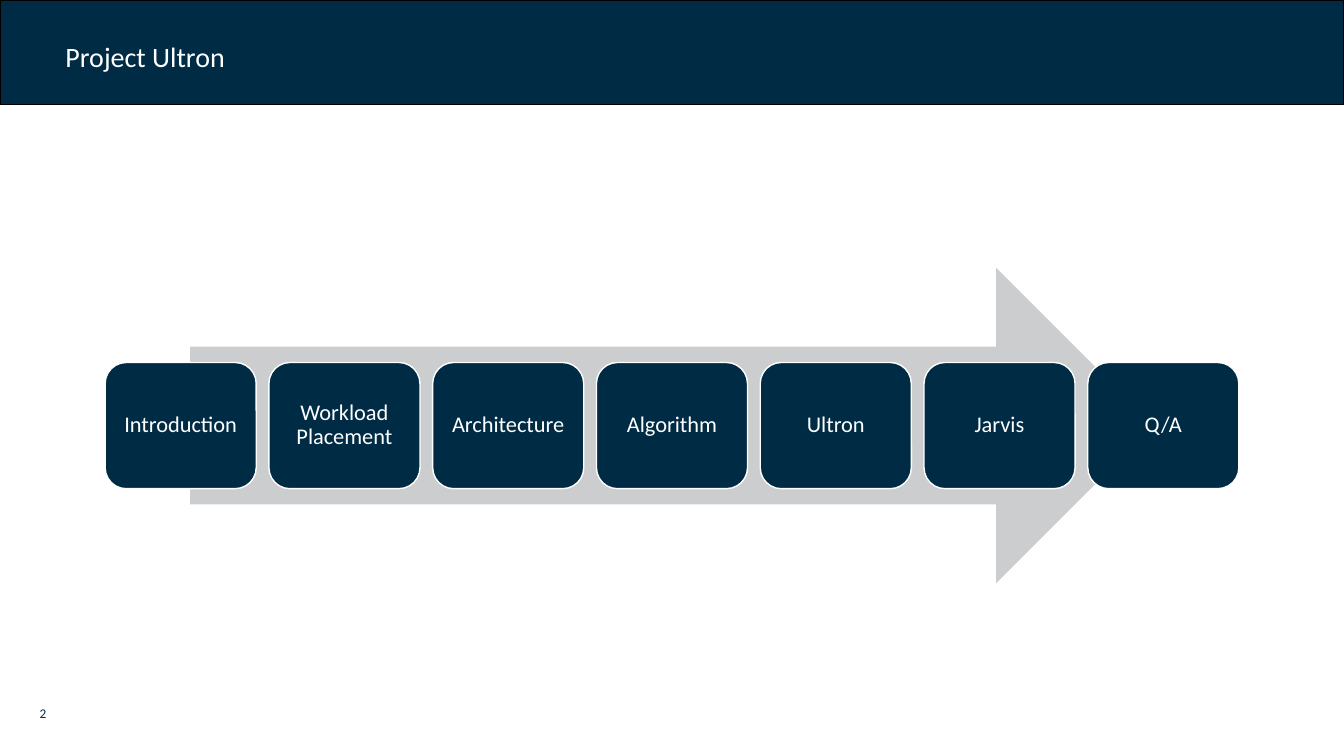
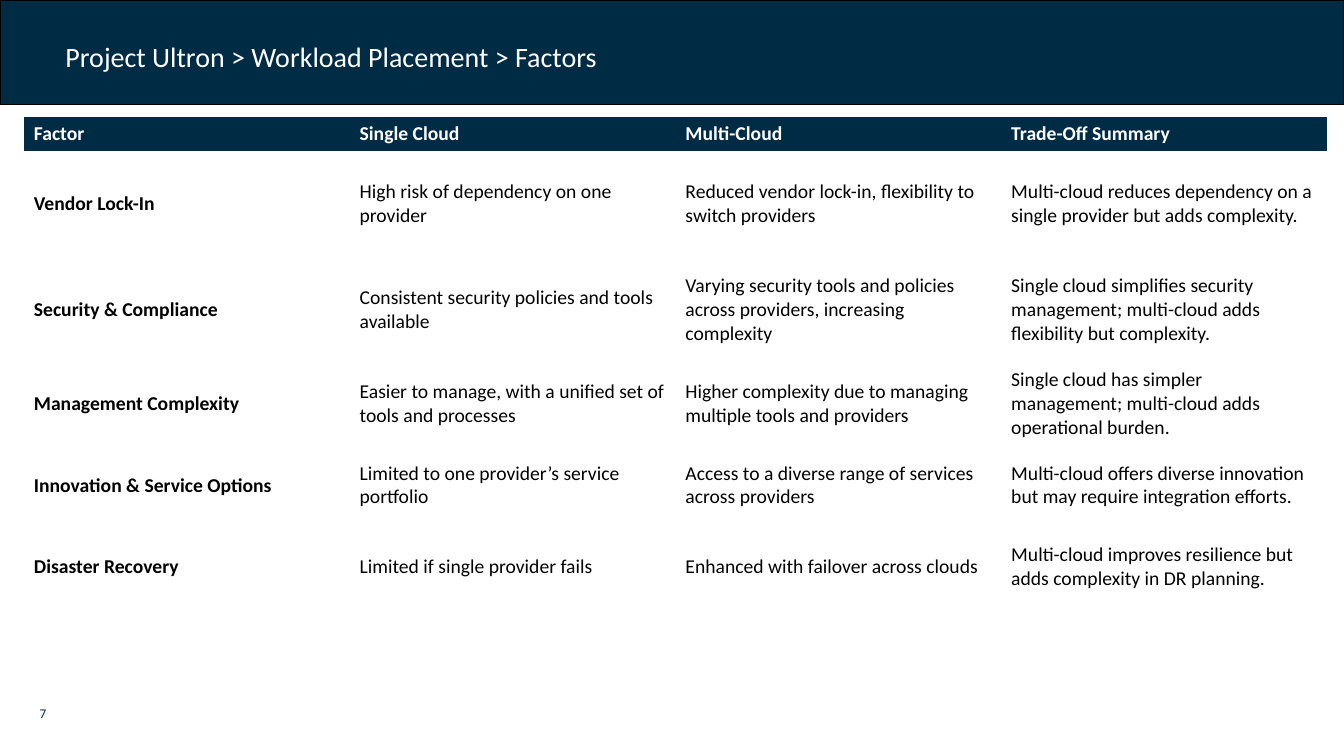
from pptx import Presentation
from pptx.dml.color import RGBColor
from pptx.enum import shapes as sh, text as tx
from pptx.oxml import ns
from pptx.util import Cm, Pt

NAVY = RGBColor(0x00, 0x2B, 0x45)
GREY = RGBColor(0xCC, 0xCD, 0xCF)
WHITE = RGBColor(0xFF, 0xFF, 0xFF)
BLACK = RGBColor(0x00, 0x00, 0x00)

WIDE, HIGH = 33.87, 19.05
KIND = sh.MSO_SHAPE
MID = tx.MSO_ANCHOR.MIDDLE
PLAIN = "{2D5ABB26-0587-4C30-8999-92F81FD0307C}"  # no style, no grid

TITLE = {"size": Pt(20), "bold": False}
STEP = {"size": Pt(16), "bold": False}
PAGE = {"size": Pt(9.5), "bold": False}
HEAD = {"size": Pt(14), "bold": True}
BODY = {"size": Pt(14), "bold": False}

STEPS = ["Introduction", "Workload Placement", "Architecture", "Algorithm",
         "Ultron", "Jarvis", "Q/A"]

FACTORS = [
    ("Factor", "Single Cloud", "Multi-Cloud", "Trade-Off Summary"),
    ("Vendor Lock-In",
     "High risk of dependency on one provider",
     "Reduced vendor lock-in, flexibility to switch providers",
     "Multi-cloud reduces dependency on a single provider but adds complexity."),
    ("Security & Compliance",
     "Consistent security policies and tools available",
     "Varying security tools and policies across providers, increasing complexity",
     "Single cloud simplifies security management; multi-cloud adds flexibility "
     "but complexity."),
    ("Management Complexity",
     "Easier to manage, with a unified set of tools and processes",
     "Higher complexity due to managing multiple tools and providers",
     "Single cloud has simpler management; multi-cloud adds operational burden."),
    ("Innovation & Service Options",
     "Limited to one provider’s service portfolio",
     "Access to a diverse range of services across providers",
     "Multi-cloud offers diverse innovation but may require integration efforts."),
    ("Disaster Recovery",
     "Limited if single provider fails",
     "Enhanced with failover across clouds",
     "Multi-cloud improves resilience but adds complexity in DR planning."),
]
ROWS = [0.82, 2.67, 2.67, 2.06, 2.06, 2.06]


def write(frame, words, look, color, align=tx.PP_ALIGN.LEFT):
    """Put one styled paragraph in a text frame."""
    para = frame.paragraphs[0]
    para.alignment = align
    run = para.add_run()
    run.text = words
    run.font.name = "Calibri"
    run.font.color.rgb = color
    for key, value in look.items():
        setattr(run.font, key, value)
    return para


def inset(frame, size):
    for side in ("left", "top", "right", "bottom"):
        setattr(frame, "margin_" + side, Cm(size))


def block(slide, kind, box, fill, edge=None, width=1):
    """Add a flat preset shape, with an outline if edge is given."""
    shape = slide.shapes.add_shape(kind, *map(Cm, box))
    shape.shadow.inherit = False
    shape.fill.solid()
    shape.fill.fore_color.rgb = fill
    if edge is None:
        shape.line.fill.background()
    else:
        shape.line.color.rgb = edge
        shape.line.width = Pt(width)
    return shape


def banner(slide, box, title):
    left, top, _, _ = box
    block(slide, KIND.RECTANGLE, box, NAVY, BLACK)
    label = block(slide, KIND.RECTANGLE, (left + 1.4, top + 0.86, 22.48, 1.12),
                  NAVY, NAVY, 0.75)
    label.text_frame.vertical_anchor = tx.MSO_ANCHOR.TOP
    write(label.text_frame, title, TITLE, WHITE)


def footer(slide, box, page):
    frame = slide.shapes.add_textbox(*map(Cm, box)).text_frame
    frame.word_wrap = True
    frame.vertical_anchor = tx.MSO_ANCHOR.BOTTOM
    inset(frame, 0)
    write(frame, page, PAGE, NAVY)


def agenda(slide, box):
    """Draw a wide arrow with a row of equal cards across its middle."""
    left, top, width, height = box
    indent, gap, tall = 0.075 * width, 0.32, 0.4 * height
    block(slide, KIND.RIGHT_ARROW,
          (left + indent, top, width - 2 * indent, height), GREY)
    wide = (width - gap * (len(STEPS) - 1)) / len(STEPS)
    for i, step in enumerate(STEPS):
        spot = (left + i * (wide + gap), top + (height - tall) / 2, wide, tall)
        frame = block(slide, KIND.ROUNDED_RECTANGLE, spot, NAVY, WHITE).text_frame
        frame.word_wrap = True
        frame.vertical_anchor = MID
        inset(frame, 0.18)
        write(frame, step, STEP, WHITE, tx.PP_ALIGN.CENTER).line_spacing = 0.9


def matrix(slide, box):
    """Draw the table of factors, with a dark header row."""
    table = slide.shapes.add_table(len(FACTORS), len(FACTORS[0]),
                                   *map(Cm, box)).table
    table.horz_banding = False
    table._tbl.tblPr.find(ns.qn("a:tableStyleId")).text = PLAIN
    for col in table.columns:
        col.width = Cm(box[2] / len(FACTORS[0]))
    for r, row in enumerate(FACTORS):
        table.rows[r].height = Cm(ROWS[r])
        for c, words in enumerate(row):
            cell = table.cell(r, c)
            cell.vertical_anchor = MID
            if r == 0:
                cell.fill.solid()
                cell.fill.fore_color.rgb = NAVY
            else:
                cell.fill.background()
            write(cell.text_frame, words, HEAD if r == 0 or c == 0 else BODY,
                  WHITE if r == 0 else BLACK)


def page(deck, title, number):
    """Start a blank slide with the shared banner and page number."""
    slide = deck.slides.add_slide(deck.slide_layouts[6])
    footer(slide, (1, 17.68, 1.02, 0.5), number)
    banner(slide, (0, 0, WIDE, 2.64), title)
    return slide


def main():
    deck = Presentation()
    deck.slide_width, deck.slide_height = Cm(WIDE), Cm(HIGH)
    agenda(page(deck, "Project Ultron", "2"), (2.65, 6.75, 28.57, 7.95))
    matrix(page(deck, "Project Ultron > Workload Placement > Factors", "7"),
           (0.6, 2.95, 32.84, sum(ROWS)))
    deck.save("out.pptx")


if __name__ == "__main__":
    main()
